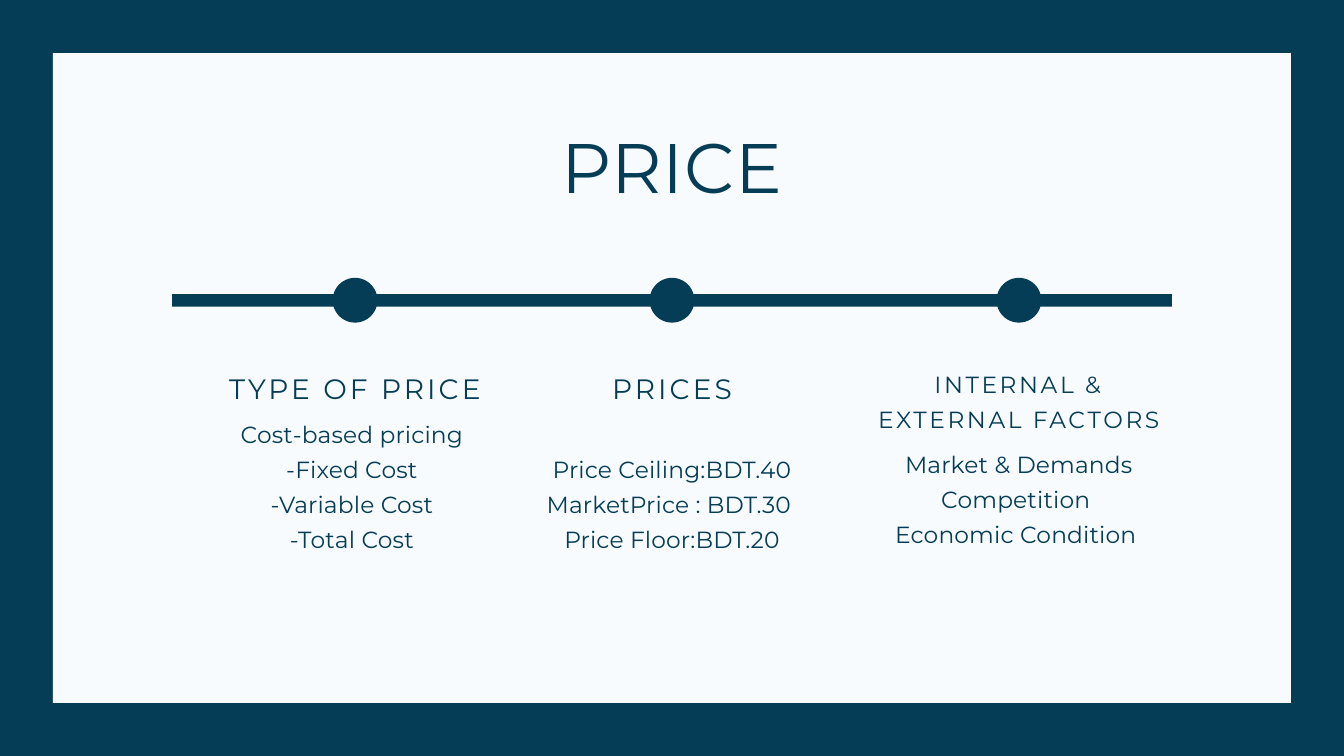
from dataclasses import dataclass

from pptx import Presentation
from pptx.dml.color import RGBColor
from pptx.enum.shapes import MSO_SHAPE as Shape
from pptx.enum.text import PP_ALIGN as Align
from pptx.slide import Slide
from pptx.util import Pt

COLORS = {"navy": "053D57", "paper": "F8FBFD"}
FONT = "Montserrat"
SLIDE_WIDTH, SLIDE_HEIGHT = 1440, 810
MARGIN = 56.8
BAR_WIDTH, BAR_HEIGHT = 1071.4, 13.4
BAR_MIDDLE = 321.7
DOT_SIZE = 48
COLUMN_WIDTH = 312
HEADING_TOP = 388


@dataclass(frozen=True)
class TextStyle:
    size: float
    leading: float
    tracking: float  # points between letters


TITLE = TextStyle(75, 94.5, 0.7)
HEADING = TextStyle(30, 45.9, 3.3)
LONG_HEADING = TextStyle(25, 38.2, 2.8)
BODY = TextStyle(25, 37.5, 0.2)


@dataclass(frozen=True)
class Milestone:
    center: float
    heading: str
    heading_style: TextStyle
    heading_height: float
    body_top: float
    lines: tuple[str, ...]


MILESTONES = (
    Milestone(380.4, "TYPE OF PRICE", HEADING, 42, 442.8,
              ("Cost-based pricing ", "-Fixed Cost ", "-Variable Cost ", "-Total Cost ")),
    Milestone(720, "PRICES", HEADING, 42, 480.3,
              ("Price Ceiling:BDT.40", "MarketPrice : BDT.30 ", "Price Floor:BDT.20")),
    Milestone(1091.7, "INTERNAL & EXTERNAL FACTORS", LONG_HEADING, 73.4, 475.2,
              ("Market & Demands Competition ", "Economic Condition ")),
)


def add_block(slide: Slide, kind: Shape, left: float, top: float,
              width: float, height: float, color: str) -> None:
    """Add a plain filled shape without outline or shadow."""
    shape = slide.shapes.add_shape(kind, Pt(left), Pt(top), Pt(width), Pt(height))
    shape.shadow.inherit = False
    shape.fill.solid()
    shape.fill.fore_color.rgb = RGBColor.from_string(COLORS[color])
    shape.line.fill.background()


def add_text(slide: Slide, center: float, top: float, width: float, height: float,
             lines: tuple[str, ...], style: TextStyle) -> None:
    """Add centred text, one paragraph per line."""
    box = slide.shapes.add_textbox(Pt(center - width / 2), Pt(top), Pt(width), Pt(height))
    frame = box.text_frame
    frame.word_wrap = True
    frame.margin_left = frame.margin_right = frame.margin_top = frame.margin_bottom = 0
    frame.text = "\n".join(lines)
    for paragraph in frame.paragraphs:
        paragraph.alignment = Align.CENTER
        paragraph.line_spacing = Pt(style.leading)
        font = paragraph.font
        font.name = FONT
        font.size = Pt(style.size)
        font.color.rgb = RGBColor.from_string(COLORS["navy"])
        properties = paragraph._p.get_or_add_pPr().get_or_add_defRPr()
        properties.set("spc", str(round(style.tracking * 100)))


def add_milestone(slide: Slide, milestone: Milestone) -> None:
    """Add a dot on the timeline with its heading and body below."""
    add_block(slide, Shape.OVAL, milestone.center - DOT_SIZE / 2,
              BAR_MIDDLE - DOT_SIZE / 2, DOT_SIZE, DOT_SIZE, "navy")
    add_text(slide, milestone.center, HEADING_TOP, COLUMN_WIDTH,
             milestone.heading_height, (milestone.heading,), milestone.heading_style)
    add_text(slide, milestone.center, milestone.body_top, COLUMN_WIDTH,
             4 * BODY.leading, milestone.lines, BODY)


def main() -> None:
    presentation = Presentation()
    presentation.slide_width = Pt(SLIDE_WIDTH)
    presentation.slide_height = Pt(SLIDE_HEIGHT)
    slide = presentation.slides.add_slide(presentation.slide_layouts[6])

    # Navy frame around a light panel
    slide.background.fill.solid()
    slide.background.fill.fore_color.rgb = RGBColor.from_string(COLORS["navy"])
    add_block(slide, Shape.RECTANGLE, MARGIN, MARGIN,
              SLIDE_WIDTH - 2 * MARGIN, SLIDE_HEIGHT - 2 * MARGIN, "paper")

    # Title
    add_text(slide, SLIDE_WIDTH / 2, 128.2, 1176, 93.6, ("PRICE",), TITLE)

    # Timeline
    add_block(slide, Shape.RECTANGLE, (SLIDE_WIDTH - BAR_WIDTH) / 2,
              BAR_MIDDLE - BAR_HEIGHT / 2, BAR_WIDTH, BAR_HEIGHT, "navy")
    for milestone in MILESTONES:
        add_milestone(slide, milestone)

    presentation.save("out.pptx")


if __name__ == "__main__":
    main()
